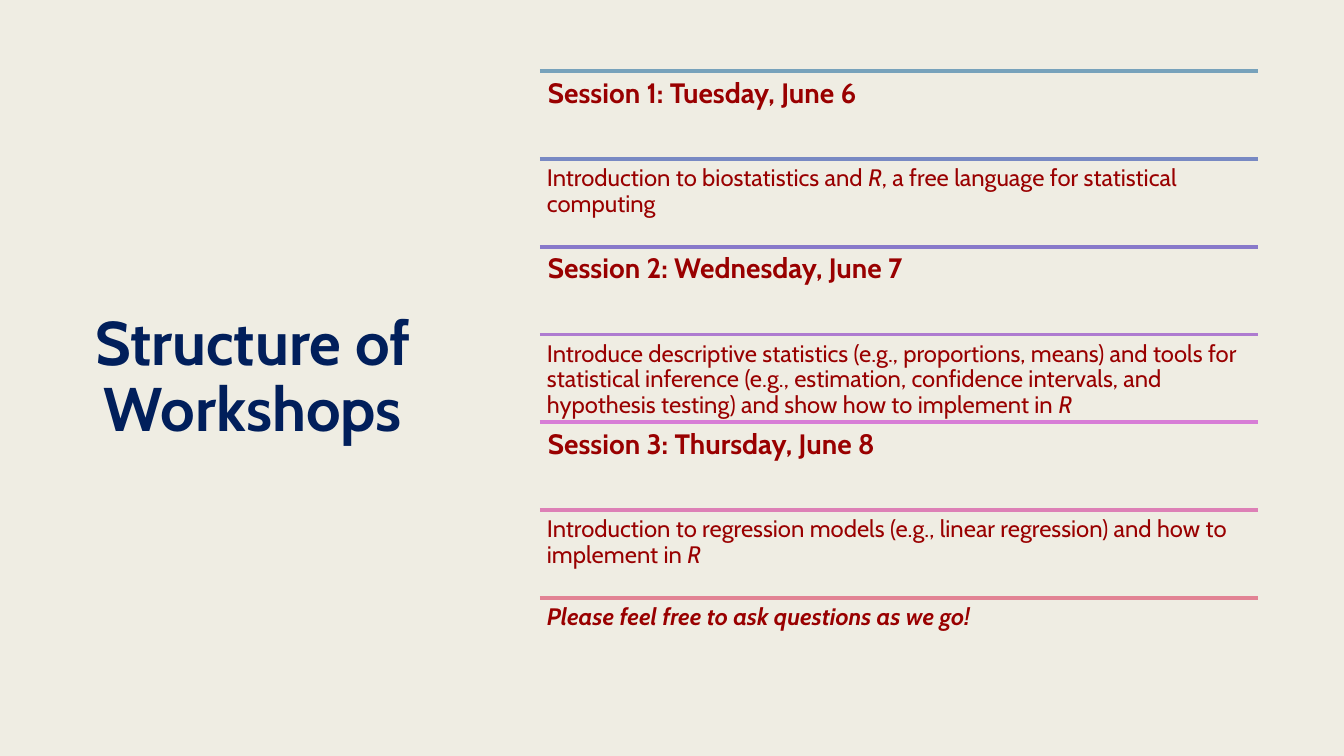
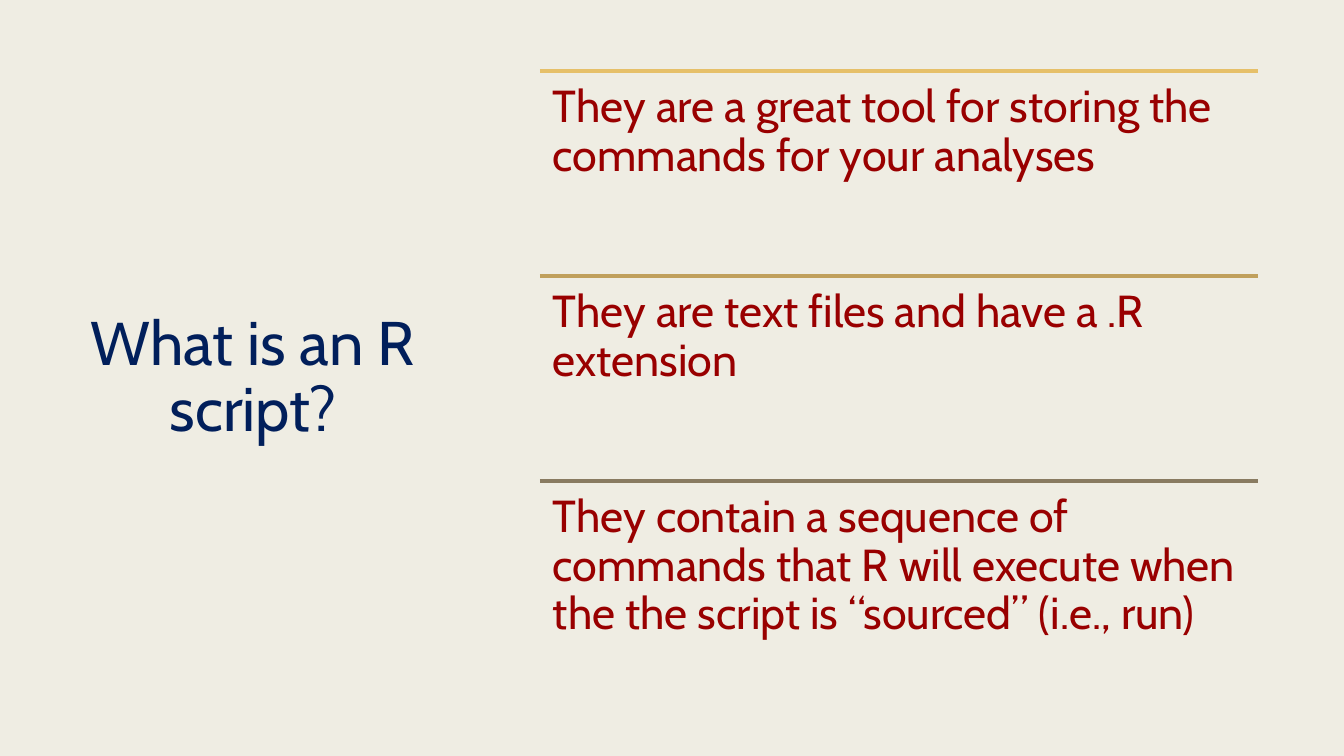
import pptx
import pptx.dml.color
import pptx.enum.shapes
import pptx.enum.text
import pptx.oxml
import pptx.oxml.ns
import pptx.util

PX = 914400 / 100.8  # EMU in one px
NAVY, RED, CREAM = "011F5B", "990000", "EFEDE3"
LIST_LEFT, LIST_TOP, LIST_WIDTH, LIST_HEIGHT = 540, 71, 718, 615

HEADING = {"size": 20, "bold": True, "inset": 8}
DETAIL = {"size": 17, "inset": 7}
CLOSING = {"size": 17, "bold": True, "italic": True, "inset": 7}
POINT = {"size": 32, "inset": 13}

# Each row: rule colour, style, runs (every second run is italic)
PAGES = [
    ("Structure of Workshops", True, [
        ("77A2BB", HEADING, ["Session 1: Tuesday, June 6"]),
        ("7889C3", DETAIL, ["Introduction to biostatistics and ", "R",
                            ", a free language for statistical computing"]),
        ("8879CA", HEADING, ["Session 2: Wednesday, June 7"]),
        ("AE7BD0", DETAIL, ["Introduce descriptive statistics (e.g., proportions, means) "
                            "and tools for statistical inference (e.g., estimation, "
                            "confidence intervals, and hypothesis testing) and show how "
                            "to implement in ", "R"]),
        ("D77DD6", HEADING, ["Session 3: Thursday, June 8"]),
        ("DD80B6", DETAIL, ["Introduction to regression models (e.g., linear regression) "
                            "and how to implement in ", "R"]),
        ("E28394", CLOSING, ["Please feel free to ask questions as we go!"]),
    ]),
    ("What is an R script?", False, [
        ("E6C069", POINT, ["They are a great tool for storing the commands for your analyses"]),
        ("C0A05C", POINT, ["They are text files and have a .R extension"]),
        ("897B61", POINT, ["They contain a sequence of commands that R will execute when "
                           "the the script is “sourced” (i.e., run)"]),
    ]),
]


def rgb(value):
    return pptx.dml.color.RGBColor.from_string(value)


def add_span(para, text, color, size, bold=False, italic=False):
    span = para.add_run()
    span.text = text
    span.font.color.rgb = rgb(color)
    formats = {"name": "Cabin", "size": pptx.util.Pt(size), "bold": bold, "italic": italic}
    for name, value in formats.items():
        setattr(span.font, name, value)


deck = pptx.Presentation()
deck.slide_width, deck.slide_height = round(1344 * PX), round(756 * PX)

# Shared background and title place
background = deck.slide_master.background.fill
background.solid()
background.fore_color.rgb = rgb(CREAM)
layout = deck.slide_layouts.get_by_name("Title Only")
title_place = {"left": 71, "top": 71, "width": 364, "height": 615}
for name, value in title_place.items():
    setattr(layout.placeholders[0], name, round(value * PX))

for title, title_bold, rows in PAGES:
    page = deck.slides.add_slide(layout)

    # Title
    frame = page.shapes.title.text_frame
    frame.auto_size = pptx.enum.text.MSO_AUTO_SIZE.NONE
    frame.vertical_anchor = pptx.enum.text.MSO_ANCHOR.MIDDLE
    para = frame.paragraphs[0]
    para.alignment = pptx.enum.text.PP_ALIGN.CENTER
    para.line_spacing = 0.89
    add_span(para, title, NAVY, 44, title_bold)

    # Ruled list, rows of equal height
    left, width = round(LIST_LEFT * PX), round(LIST_WIDTH * PX)
    row_height = round(LIST_HEIGHT * PX / len(rows))
    for index, (color, style, texts) in enumerate(rows):
        top = round(LIST_TOP * PX) + index * row_height
        rule = page.shapes.add_connector(
            pptx.enum.shapes.MSO_CONNECTOR.STRAIGHT, left, top, left + width, top)
        rule.line.color.rgb = rgb(color)
        rule.line.width = pptx.util.Pt(2.75)
        properties = rule.element.find(pptx.oxml.ns.qn("p:spPr"))
        properties.append(pptx.oxml.parse_xml(
            "<a:effectLst %s/>" % pptx.oxml.ns.nsdecls("a")))

        box = page.shapes.add_textbox(left, top, width, row_height)
        frame = box.text_frame
        frame.word_wrap = True
        for side in ("left", "top", "right", "bottom"):
            setattr(frame, "margin_" + side, round(style["inset"] * PX))
        para = frame.paragraphs[0]
        para.line_spacing = 0.9
        for position, text in enumerate(texts):
            italic = style.get("italic", False) or position % 2 == 1
            add_span(para, text, RED, style["size"], style.get("bold", False), italic)

deck.save("out.pptx")
